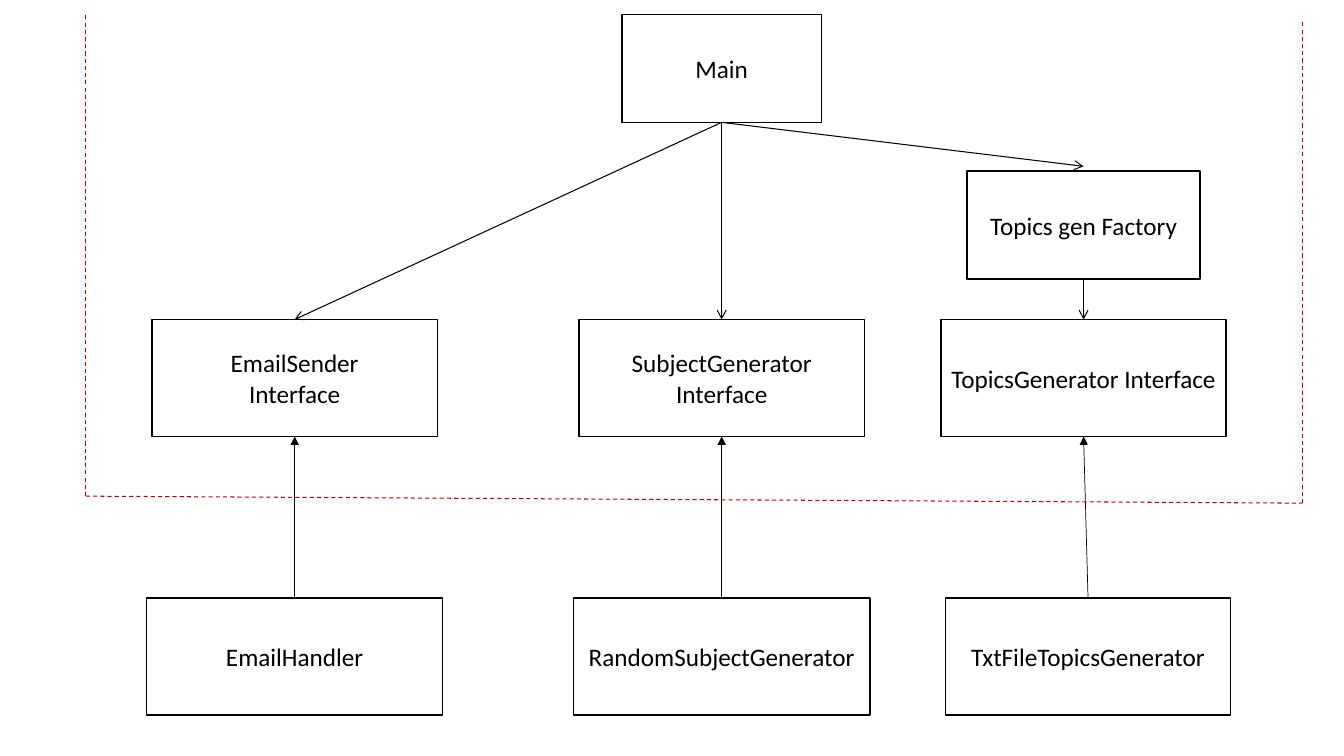
from dataclasses import dataclass

from pptx import Presentation
from pptx.dml.color import RGBColor
from pptx.enum.dml import MSO_LINE_DASH_STYLE as Dash
from pptx.enum.shapes import MSO_CONNECTOR as Connector, MSO_SHAPE as Shape
from pptx.enum.text import MSO_ANCHOR as Anchor, PP_ALIGN as Align
from pptx.oxml.ns import qn
from pptx.util import Pt
from lxml.etree import SubElement

TOP, BOTTOM = 0, 2


@dataclass(frozen=True)
class Theme:
    font: str = "Calibri"
    size: float = 18
    ink: RGBColor = RGBColor(0, 0, 0)
    paper: RGBColor = RGBColor(255, 255, 255)
    boundary: RGBColor = RGBColor(0xC0, 0, 0)
    outline: float = 1
    uses: float = 0.75
    implements: float = 0.5


class Diagram:
    def __init__(self, slide, theme):
        self.slide = slide
        self.theme = theme

    def box(self, text, center, top, width, height):
        theme = self.theme
        box = self.slide.shapes.add_shape(
            Shape.RECTANGLE, Pt(center - width / 2), Pt(top), Pt(width), Pt(height))
        box.shadow.inherit = False
        box.fill.solid()
        box.fill.fore_color.rgb = theme.paper
        box.line.color.rgb = theme.ink
        box.line.width = Pt(theme.outline)
        frame = box.text_frame
        frame.word_wrap = True
        frame.vertical_anchor = Anchor.MIDDLE
        frame.margin_left = frame.margin_right = Pt(6)
        frame.text = text
        for paragraph in frame.paragraphs:
            paragraph.alignment = Align.CENTER
            paragraph.font.name = theme.font
            paragraph.font.size = Pt(theme.size)
            paragraph.font.color.rgb = theme.ink
        return box

    def line(self, start, end, color, width):
        line = self.slide.shapes.add_connector(
            Connector.STRAIGHT, *(Pt(value) for value in (*start, *end)))
        SubElement(line._element.spPr, qn("a:effectLst"))
        line.line.color.rgb = color
        line.line.width = Pt(width)
        return line

    def arrow(self, source, source_side, target, target_side, head, width, end=(0, 0)):
        arrow = self.line((0, 0), end, self.theme.ink, width)
        arrow.begin_connect(source, source_side)
        if target is not None:
            arrow.end_connect(target, target_side)
        SubElement(arrow.line._get_or_add_ln(), qn("a:tailEnd"), type=head)

    def uses(self, source, target=None, end=(0, 0)):
        self.arrow(source, BOTTOM, target, TOP, "arrow", self.theme.uses, end)

    def implements(self, source, target):
        self.arrow(source, TOP, target, BOTTOM, "triangle", self.theme.implements)

    def boundary(self, start, end):
        edge = self.line(start, end, self.theme.boundary, self.theme.uses)
        edge.line.dash_style = Dash.DASH


def main():
    deck = Presentation()
    deck.slide_width, deck.slide_height = Pt(960), Pt(540)
    diagram = Diagram(deck.slides.add_slide(deck.slide_layouts[6]), Theme())

    email_x, subject_x, topics_x = 210.5, 515.5, 774
    interface_y, class_y = 228.2, 427
    wide, wider, tall, short = 203.8, 211.7, 83.6, 77.2

    entry = diagram.box("Main", subject_x, 10.2, 142.6, short)
    factory = diagram.box("Topics gen Factory", topics_x, 122.2, 166.4, short)
    columns = [
        ("EmailSender\nInterface", email_x, "EmailHandler", email_x, wider),
        ("SubjectGenerator\nInterface", subject_x, "RandomSubjectGenerator", subject_x, wider),
        ("TopicsGenerator Interface", topics_x, "TxtFileTopicsGenerator", topics_x + 3.2, wide),
    ]
    interfaces = []
    for interface_name, interface_x, class_name, class_x, class_width in columns:
        interface = diagram.box(interface_name, interface_x, interface_y, wide, tall)
        implementation = diagram.box(class_name, class_x, class_y, class_width, tall)
        diagram.implements(implementation, interface)
        interfaces.append(interface)

    email, subject, topics = interfaces
    diagram.uses(entry, email)
    diagram.uses(entry, subject)
    diagram.uses(entry, end=(topics_x, 118.8))
    diagram.uses(factory, topics)

    lower_left, lower_right = (61.3, 354.4), (930.2, 359.4)
    diagram.boundary(lower_left, lower_right)
    for x, y in (lower_left, lower_right):
        diagram.boundary((x, y), (x, y - 344))

    deck.save("out.pptx")


if __name__ == "__main__":
    main()
